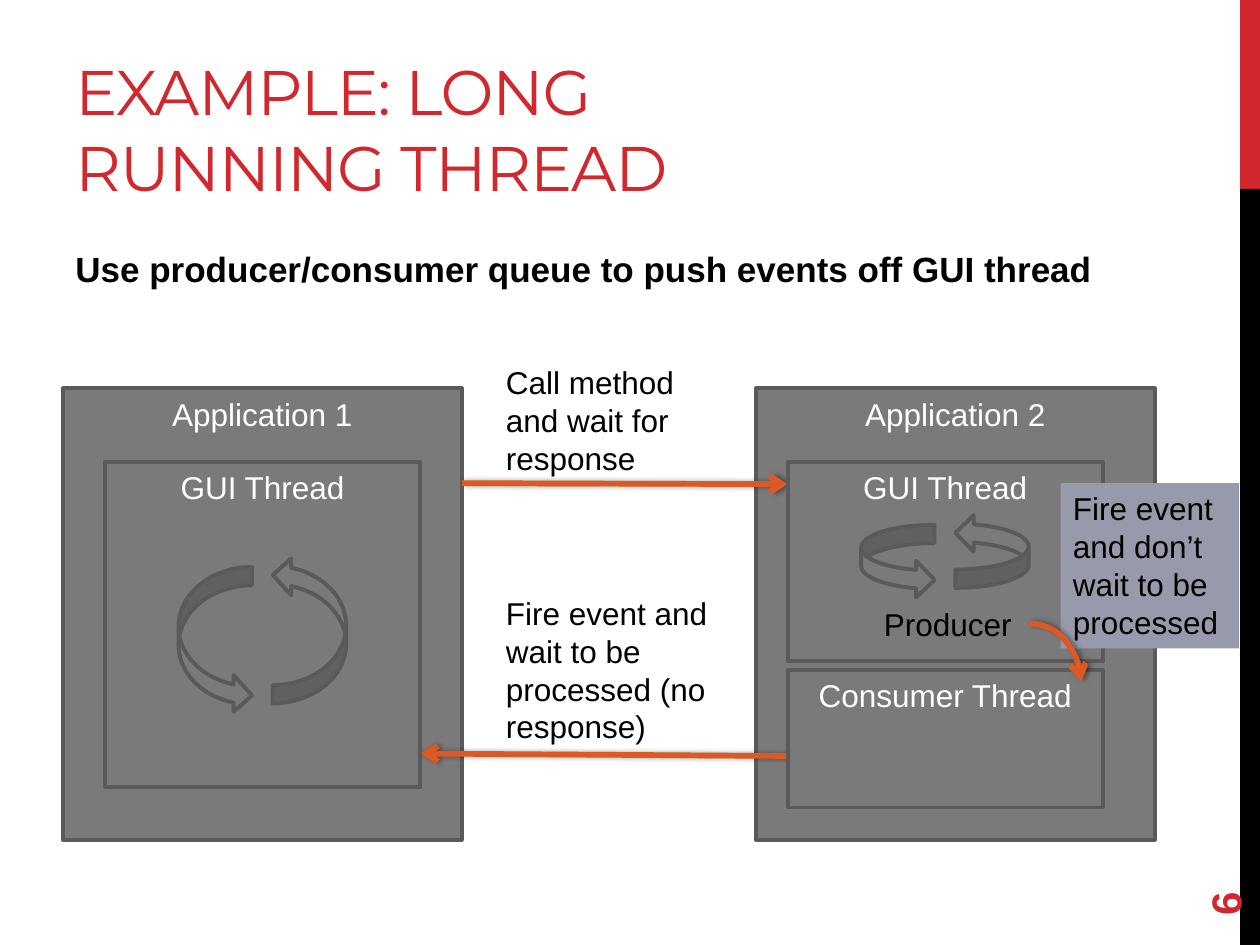
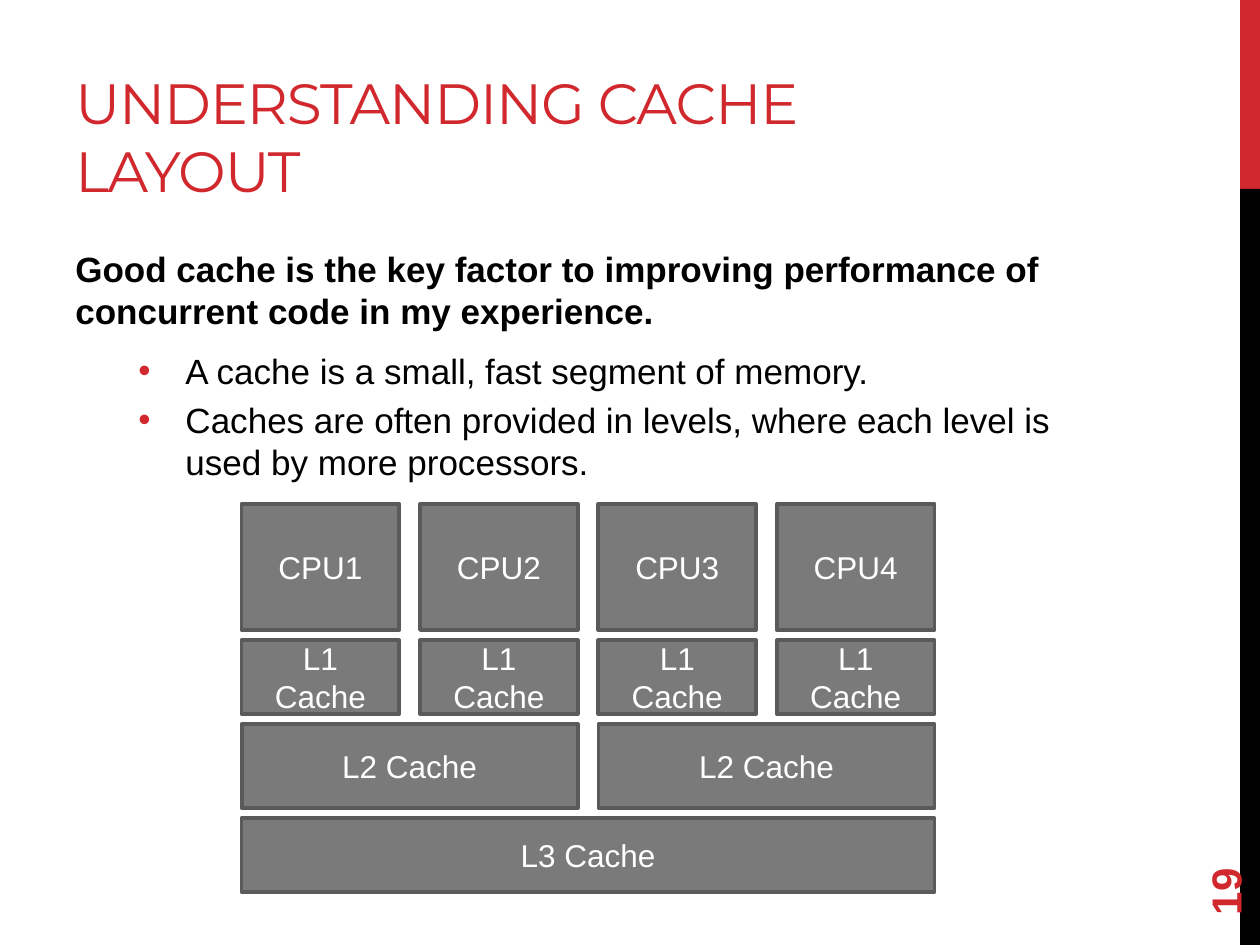
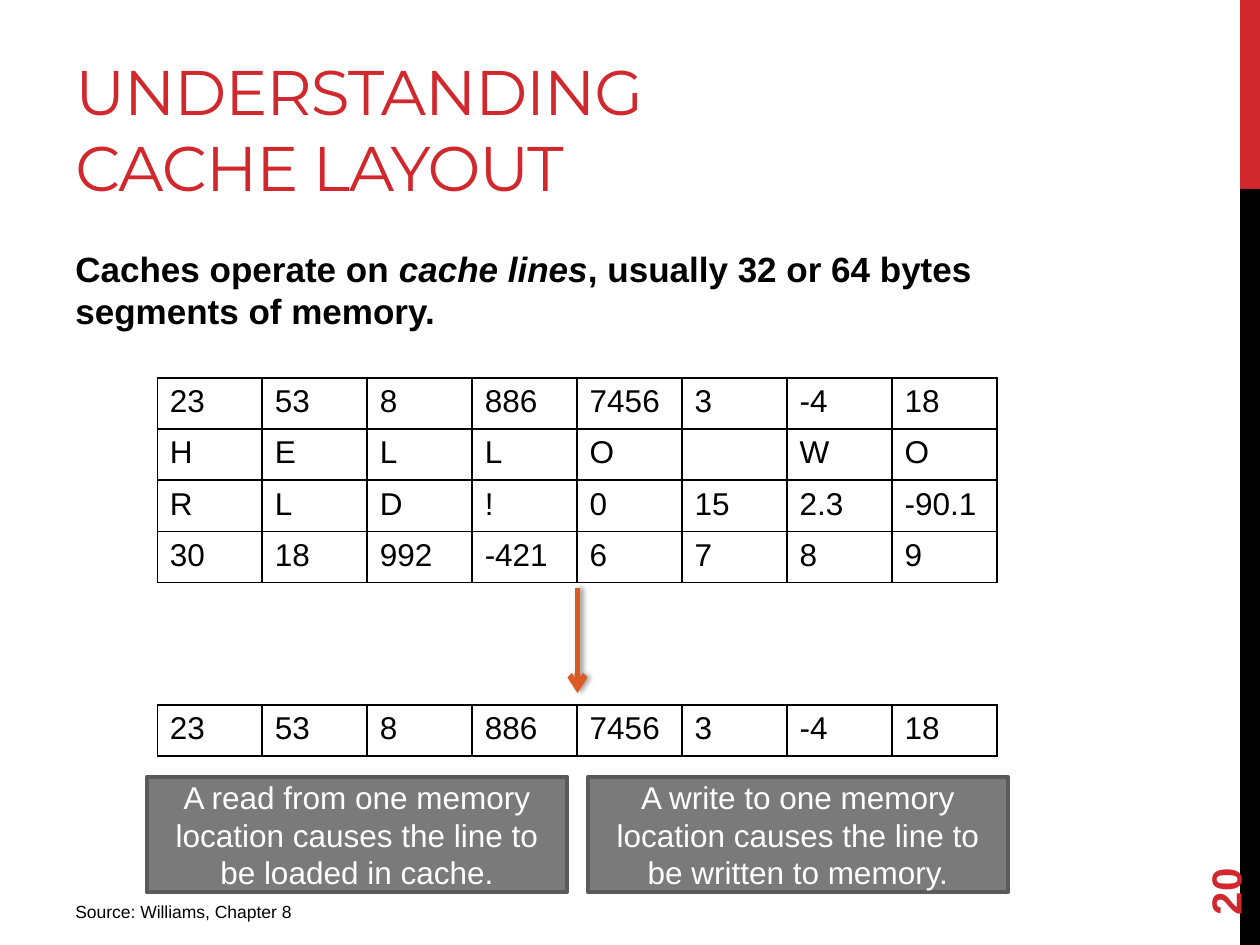
"""Builds three slides on threads and cache layout."""
from lxml.etree import SubElement
from pptx import Presentation
from pptx.dml.color import RGBColor
from pptx.enum.shapes import MSO_CONNECTOR, MSO_SHAPE
from pptx.enum.text import MSO_ANCHOR, PP_ALIGN
from pptx.oxml.ns import qn
from pptx.util import Cm, Pt

RED, BLACK, WHITE = "D1282E", "000000", "FFFFFF"
GRAY, EDGE, ORANGE, NOTE = "7A7A7A", "5A5A5A", "DC5924", "989AAC"
BODY, HEADING = "Arial", "Montserrat"

THREADS = {
    "title": "EXAMPLE: LONG RUNNING THREAD", "number": 6,
    "lead": "Use producer/consumer queue to push events off GUI thread",
    "apps": [("Application 1", (1.27, 7.83, 8.04, 9.1)),
             ("Application 2", (15.24, 7.83, 8.04, 9.1))],
    "arrows": [(9.31, 9.74, 15.88, 9.76), (15.88, 15.24, 8.47, 15.19)],
    "labels": [("Call method and wait for response", (9.95, 7.2, 4.66, 2.56)),
               ("Fire event and wait to be processed (no response)",
                (9.95, 11.85, 4.87, 3.33)),
               ("Producer", (17.57, 12.07, 3.17, 1.02))],
    "threads": [("GUI Thread", (2.12, 9.31, 6.35, 6.56)),
                ("GUI Thread", (15.88, 9.31, 6.35, 4.02)),
                ("Consumer Thread", (15.88, 13.51, 6.35, 2.77))],
    "loops": [(3.6, 11.43, 2.96), (17.36, 10.58, 1.48)],
    "note": ("Fire event and don’t wait to be processed",
             (21.38, 9.74, 3.6, 3.33)),
    "handoff": (20.74, 12.57, 21.8, 13.74),
}
LEVELS = {
    "title": "UNDERSTANDING CACHE LAYOUT", "number": 19,
    "lead": "Good cache is the key factor to improving performance of "
            "concurrent code in my experience.",
    "bullets": ["A cache is a small, fast segment of memory.",
                "Caches are often provided in levels, where each level is "
                "used by more processors."],
    "rows": [(2.54, ["CPU1", "CPU2", "CPU3", "CPU4"]),
             (1.48, ["L1 Cache"] * 4),
             (1.69, ["L2 Cache"] * 2),
             (1.48, ["L3 Cache"])],
}
LINES = {
    "title": "UNDERSTANDING CACHE LAYOUT", "number": 20,
    "lead": [("Caches operate on ", False), ("cache lines", True),
             (", usually 32 or 64 bytes segments of memory.", False)],
    "memory": [["23", "53", "8", "886", "7456", "3", "-4", "18"],
               ["H", "E", "L", "L", "O", "", "W", "O"],
               ["R", "L", "D", "!", "0", "15", "2.3", "-90.1"],
               ["30", "18", "992", "-421", "6", "7", "8", "9"]],
    "notes": ["A read from one memory location causes the line to be loaded "
              "in cache.",
              "A write to one memory location causes the line to be written "
              "to memory."],
    "source": "Source: Williams, Chapter 8",
}


def rgb(color):
    return RGBColor.from_string(color)


def write(p, text, size=18, color=BLACK, font=BODY, bold=False, align=None,
          before=0, after=0, spacing=None):
    p.alignment = align
    p.space_before, p.space_after = Pt(before), Pt(after)
    for part, italic in [(text, False)] if isinstance(text, str) else text:
        r = p.add_run()
        r.text = part
        r.font.size, r.font.name = Pt(size), font
        r.font.bold, r.font.italic = bold, italic
        r.font.color.rgb = rgb(color)
        if spacing:
            r.font._element.set("spc", str(spacing))


def add_label(s, text, box, anchor=MSO_ANCHOR.TOP, **fmt):
    sp = s.shapes.add_textbox(*map(Cm, box))
    tf = sp.text_frame
    tf.word_wrap, tf.vertical_anchor = True, anchor
    write(tf.paragraphs[0], text, **fmt)
    return sp


def add_block(s, box, text="", kind=MSO_SHAPE.RECTANGLE, fill=GRAY, line=EDGE,
              anchor=MSO_ANCHOR.MIDDLE, color=WHITE, align=PP_ALIGN.CENTER):
    sp = s.shapes.add_shape(kind, *map(Cm, box))
    sp.shadow.inherit = False
    sp.fill.solid()
    sp.fill.fore_color.rgb = rgb(fill)
    if line:
        sp.line.color.rgb, sp.line.width = rgb(line), Pt(2.25)
    else:
        sp.line.fill.background()
    if text:
        tf = sp.text_frame
        tf.word_wrap, tf.vertical_anchor = True, anchor
        write(tf.paragraphs[0], text, color=color, align=align)
    return sp


def add_arrow(s, ends, kind=MSO_CONNECTOR.STRAIGHT):
    sp = s.shapes.add_connector(kind, *map(Cm, ends))
    sp.line.color.rgb, sp.line.width = rgb(ORANGE), Pt(3.25)
    SubElement(sp.line._get_or_add_ln(), qn("a:tailEnd"), type="arrow")
    effects = SubElement(sp.element.spPr, qn("a:effectLst"))
    shadow = SubElement(effects, qn("a:outerShdw"), blurRad=str(Pt(3.1)),
                        dist=str(Pt(1.8)), dir="0", rotWithShape="0")
    tint = SubElement(shadow, qn("a:srgbClr"), val=BLACK)
    SubElement(tint, qn("a:alpha"), val="40000")
    return sp


def add_loop(s, x, y, height):
    add_block(s, (x, y, 1.48, height), kind=MSO_SHAPE.CURVED_RIGHT_ARROW)
    sp = add_block(s, (x + 1.9, y - 0.21, 1.48, height),
                   kind=MSO_SHAPE.CURVED_LEFT_ARROW)
    sp.rotation = 180
    sp.element.spPr.find(qn("a:xfrm")).set("flipH", "1")


def add_grid(s, rows, y):
    sp = s.shapes.add_table(len(rows), len(rows[0]), Cm(3.17), Cm(y),
                            Cm(16.93), Cm(1.03 * len(rows)))
    table = sp.table
    table.first_row = table.horz_banding = False
    for i, row in enumerate(rows):
        for j, value in enumerate(row):
            cell = table.cell(i, j)
            write(cell.text_frame.paragraphs[0], value)
            tc = cell._tc.get_or_add_tcPr()
            for side in ("a:lnL", "a:lnR", "a:lnT", "a:lnB"):
                ln = SubElement(tc, qn(side), w=str(Pt(1)))
                SubElement(SubElement(ln, qn("a:solidFill")),
                           qn("a:srgbClr"), val=BLACK)
            cell.fill.background()


def add_bullet(tf, text):
    p = tf.add_paragraph()
    p.level = 1
    write(p, text, size=20, before=4)
    pPr = p._p.get_or_add_pPr()
    pPr.set("marL", str(Cm(2.22)))
    pPr.set("indent", str(-Cm(0.95)))
    SubElement(SubElement(pPr, qn("a:buClr")), qn("a:srgbClr"), val=RED)
    SubElement(pPr, qn("a:buFont"), typeface=BODY)
    SubElement(pPr, qn("a:buChar"), char="•")


def add_slide(prs, content, title_size=36, body_height=12.14):
    s = prs.slides.add_slide(prs.slide_layouts[6])
    add_block(s, (25, 0, 0.4, 3.81), fill=RED, line=None)
    add_block(s, (25, 3.81, 0.4, 15.24), fill=BLACK, line=None)
    add_label(s, content["title"], (1.27, 0.43, 16.08, 3.81),
              anchor=MSO_ANCHOR.BOTTOM, size=title_size, color=RED,
              font=HEADING, spacing=-60)
    body = add_label(s, content["lead"], (1.27, 4.87, 21.17, body_height),
                     size=20, bold=True, before=4, after=6)
    for text in content.get("bullets", []):
        add_bullet(body.text_frame, text)
    number = add_label(s, str(content["number"]), (22.86, 16.36, 3.66, 1.02),
                       anchor=MSO_ANCHOR.MIDDLE, size=24, color=RED, bold=True)
    number.rotation = 270
    return s


def build_threads(prs):
    s = add_slide(prs, THREADS, body_height=1.27)
    for text, box in THREADS["apps"]:
        add_block(s, box, text, anchor=MSO_ANCHOR.TOP)
    for ends in THREADS["arrows"]:
        add_arrow(s, ends)
    for text, box in THREADS["threads"]:
        add_block(s, box, text, anchor=MSO_ANCHOR.TOP)
    for loop in THREADS["loops"]:
        add_loop(s, *loop)
    for text, box in THREADS["labels"]:
        add_label(s, text, box)
    text, box = THREADS["note"]
    add_block(s, box, text, fill=NOTE, line=None, anchor=MSO_ANCHOR.TOP,
              color=BLACK, align=PP_ALIGN.LEFT)
    curve = add_arrow(s, THREADS["handoff"], MSO_CONNECTOR.CURVE)
    curve.element.spPr.find(qn("a:prstGeom")).set("prst", "curvedConnector2")


def build_levels(prs):
    s = add_slide(prs, LEVELS, title_size=32.4)
    left, y, total, gap_x, gap_y = 4.87, 10.16, 13.97, 0.42, 0.21
    for height, names in LEVELS["rows"]:
        width = (total + gap_x) / len(names) - gap_x
        for i, name in enumerate(names):
            add_block(s, (left + i * (width + gap_x), y, width, height), name)
        y += height + gap_y


def build_lines(prs):
    s = add_slide(prs, LINES)
    add_grid(s, LINES["memory"], 7.62)
    add_grid(s, LINES["memory"][:1], 14.21)
    add_arrow(s, (11.64, 11.85, 11.64, 13.97))
    for i, text in enumerate(LINES["notes"]):
        add_block(s, (2.96 + i * 8.89, 15.66, 8.47, 2.33), text)
    add_label(s, LINES["source"], (1.27, 18.03, 9.53, 0.79), size=10)


prs = Presentation()
prs.slide_width, prs.slide_height = Cm(25.4), Cm(19.05)
build_threads(prs)
build_levels(prs)
build_lines(prs)
prs.save("out.pptx")
